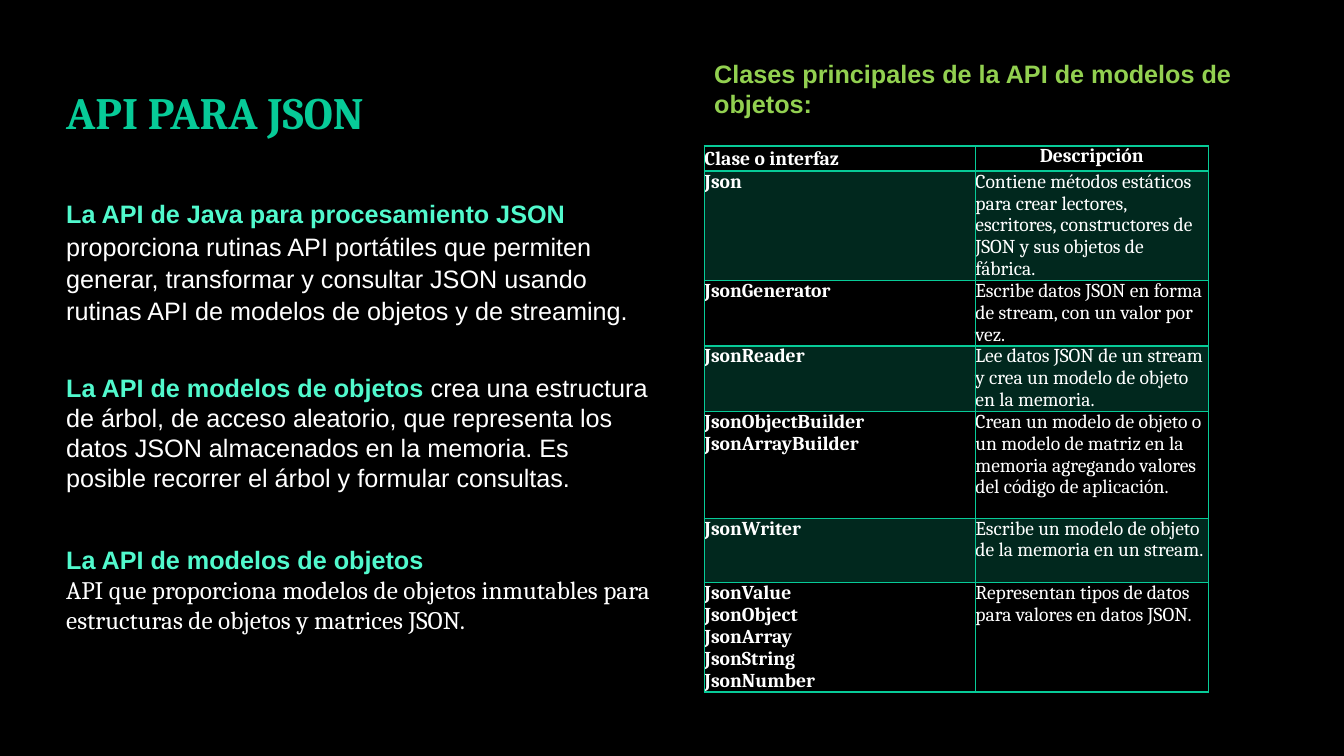
from dataclasses import dataclass, field
from typing import Any

from lxml.etree import SubElement
from pptx import Presentation
from pptx.dml.color import RGBColor
from pptx.enum.text import MSO_ANCHOR as Anchor, MSO_AUTO_SIZE as AutoSize, PP_ALIGN as Align
from pptx.oxml.ns import qn
from pptx.util import Cm, Pt

COLORS = {
    "background": "000000",
    "green": "07CB98",
    "mint": "51F9CD",
    "lime": "92D050",
    "white": "FFFFFF",
}


@dataclass
class Span:
    text: str
    color: str = "white"
    bold: bool = False
    font: str = "Arial"
    size: float = 18


@dataclass
class Para:
    spans: list[Span]
    format: dict[str, Any] = field(default_factory=dict)


@dataclass
class TextBlock:
    left: float
    top: float
    width: float
    height: float
    paras: list[Para]
    frame: dict[str, Any] = field(default_factory=lambda: {"auto_size": AutoSize.SHAPE_TO_FIT_TEXT})


@dataclass
class ClassRow:
    names: str
    description: str
    height: float


LEFT, RIGHT, COLUMN = 1.42, 17.75, 15.24

BLOCKS = [
    TextBlock(LEFT, 1.85, 10.62, 2.97,
              [Para([Span("API PARA JSON", "green", True, "Cambria", 32)], {"line_spacing": 0.9})],
              {"vertical_anchor": Anchor.BOTTOM, "margin_bottom": Cm(1.32)}),
    TextBlock(LEFT, 4.83, COLUMN, 3.56, [Para([
        Span("La API de Java para procesamiento JSON ", "mint", True),
        Span("proporciona rutinas API portátiles que permiten generar, transformar y consultar "
             "JSON usando rutinas API de modelos de objetos y de streaming."),
    ], {"line_spacing": 1.07, "space_after": Pt(8)})]),
    TextBlock(LEFT, 9.25, COLUMN, 3.33, [Para([
        Span("La API de modelos de objetos ", "mint", True),
        Span("crea una estructura de árbol, de acceso aleatorio, que representa los datos JSON "
             "almacenados en la memoria. Es posible recorrer el árbol y formular consultas."),
    ])]),
    TextBlock(LEFT, 13.59, COLUMN, 2.57, [
        Para([Span("La API de modelos de objetos", "mint", True)]),
        Para([Span("API que proporciona modelos de objetos inmutables para estructuras de objetos "
                   "y matrices JSON.", font="Cambria")]),
    ]),
    TextBlock(RIGHT, 1.35, 13.82, 1.8, [
        Para([Span("Clases principales de la API de modelos de objetos:", "lime", True)]),
    ]),
]

COLUMN_WIDTHS = [6.83, 5.87]
ROWS = [
    ClassRow("Clase o interfaz", "Descripción", 0.58),
    ClassRow("Json", "Contiene métodos estáticos para crear lectores, escritores, "
             "constructores de JSON y sus objetos de fábrica.", 2.69),
    ClassRow("JsonGenerator", "Escribe datos JSON en forma de stream, con un valor por vez.", 1.63),
    ClassRow("JsonReader", "Lee datos JSON de un stream y crea un modelo de objeto en la memoria.", 1.63),
    ClassRow("JsonObjectBuilder\nJsonArrayBuilder", "Crean un modelo de objeto o un modelo de matriz "
             "en la memoria agregando valores del código de aplicación.", 2.69),
    ClassRow("JsonWriter", "Escribe un modelo de objeto de la memoria en un stream.", 1.63),
    ClassRow("JsonValue\nJsonObject\nJsonArray\nJsonString\nJsonNumber",
             "Representan tipos de datos para valores en datos JSON.", 2.69),
]


def color_of(name: str) -> RGBColor:
    return RGBColor.from_string(COLORS[name])


def apply(target: Any, values: dict[str, Any]) -> None:
    for name, value in values.items():
        setattr(target, name, value)


def write_span(para: Any, span: Span) -> None:
    """Add a span, with a line break at each newline."""
    for index, line in enumerate(span.text.split("\n")):
        if index:
            para.add_line_break()
        run = para.add_run()
        run.text = line
        apply(run.font, {"name": span.font, "size": Pt(span.size), "bold": span.bold})
        run.font.color.rgb = color_of(span.color)


def write_paras(frame: Any, paras: list[Para]) -> None:
    for index, content in enumerate(paras):
        para = frame.add_paragraph() if index else frame.paragraphs[0]
        apply(para, content.format)
        for span in content.spans:
            write_span(para, span)


def draw_block(page: Any, block: TextBlock) -> None:
    box = page.shapes.add_textbox(Cm(block.left), Cm(block.top), Cm(block.width), Cm(block.height))
    apply(box.text_frame, {"word_wrap": True, **block.frame})
    write_paras(box.text_frame, block.paras)


def draw_borders(cell: Any, widths: dict[str, float]) -> None:
    properties = cell._tc.get_or_add_tcPr()
    for side, width in widths.items():
        line = SubElement(properties, qn(f"a:ln{side}"), w=str(Pt(width)))
        fill = SubElement(line, qn("a:solidFill"))
        SubElement(fill, qn("a:srgbClr"), val=COLORS["green"])


def fill_cell(cell: Any, shaded: bool) -> None:
    if not shaded:
        cell.fill.background()
        return
    cell.fill.solid()
    cell.fill.fore_color.rgb = color_of("green")
    tint = cell._tc.tcPr.find(qn("a:solidFill")).find(qn("a:srgbClr"))
    SubElement(tint, qn("a:alpha"), val="20000")


def draw_table(page: Any) -> None:
    height = sum(row.height for row in ROWS)
    table = page.shapes.add_table(len(ROWS), len(COLUMN_WIDTHS), Cm(RIGHT), Cm(3.68),
                                  Cm(sum(COLUMN_WIDTHS)), Cm(height)).table
    apply(table, {"first_row": False, "horz_banding": False})
    for column, width in zip(table.columns, COLUMN_WIDTHS):
        column.width = Cm(width)
    for row_index, row in enumerate(ROWS):
        table.rows[row_index].height = Cm(row.height)
        header = row_index == 0
        for column_index, text in enumerate((row.names, row.description)):
            cell = table.cell(row_index, column_index)
            apply(cell, {f"margin_{side}": 0 for side in ("left", "right", "top", "bottom")})
            style: dict[str, Any] = {"line_spacing": Pt(15.6)}
            if header and column_index == 0:
                style["line_spacing"] = 1.07
            elif header:
                style["alignment"] = Align.CENTER
            elif "\n" not in text:
                style["space_after"] = Pt(12.8)
            bold = header or column_index == 0
            write_paras(cell.text_frame, [Para([Span(text, "white", bold, "Cambria", 14)], style)])
            draw_borders(cell, {"L": 1, "R": 1, "T": 2 if row_index == 1 else 1, "B": 2 if header else 1})
            fill_cell(cell, row_index % 2 == 1)


def main() -> None:
    deck = Presentation()
    apply(deck, {"slide_width": Cm(33.87), "slide_height": Cm(19.05)})
    page = deck.slides.add_slide(deck.slide_layouts[6])
    page.background.fill.solid()
    page.background.fill.fore_color.rgb = color_of("background")

    # Title, explanations and table heading
    for block in BLOCKS:
        draw_block(page, block)

    # Classes and their descriptions
    draw_table(page)
    deck.save("out.pptx")


if __name__ == "__main__":
    main()
